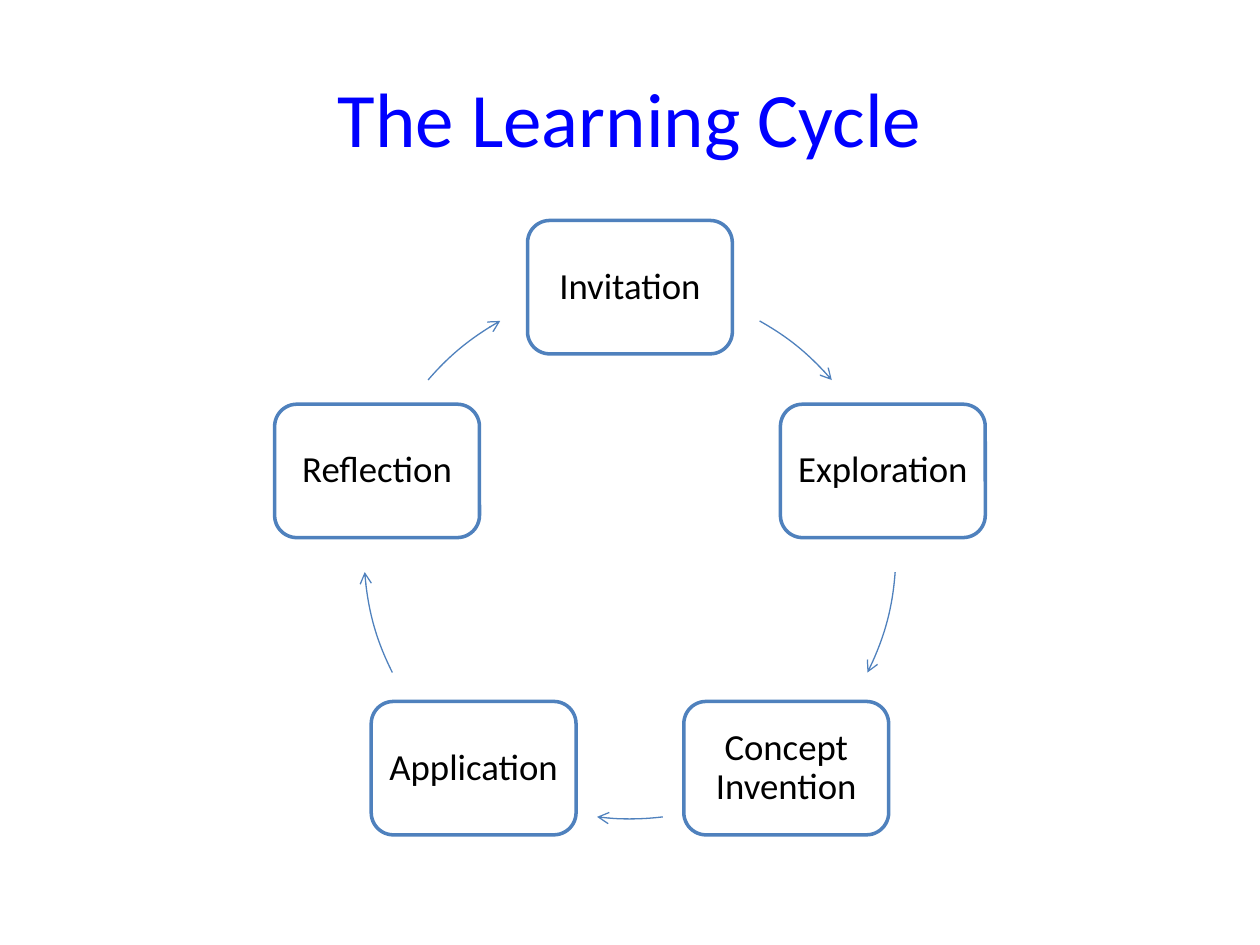
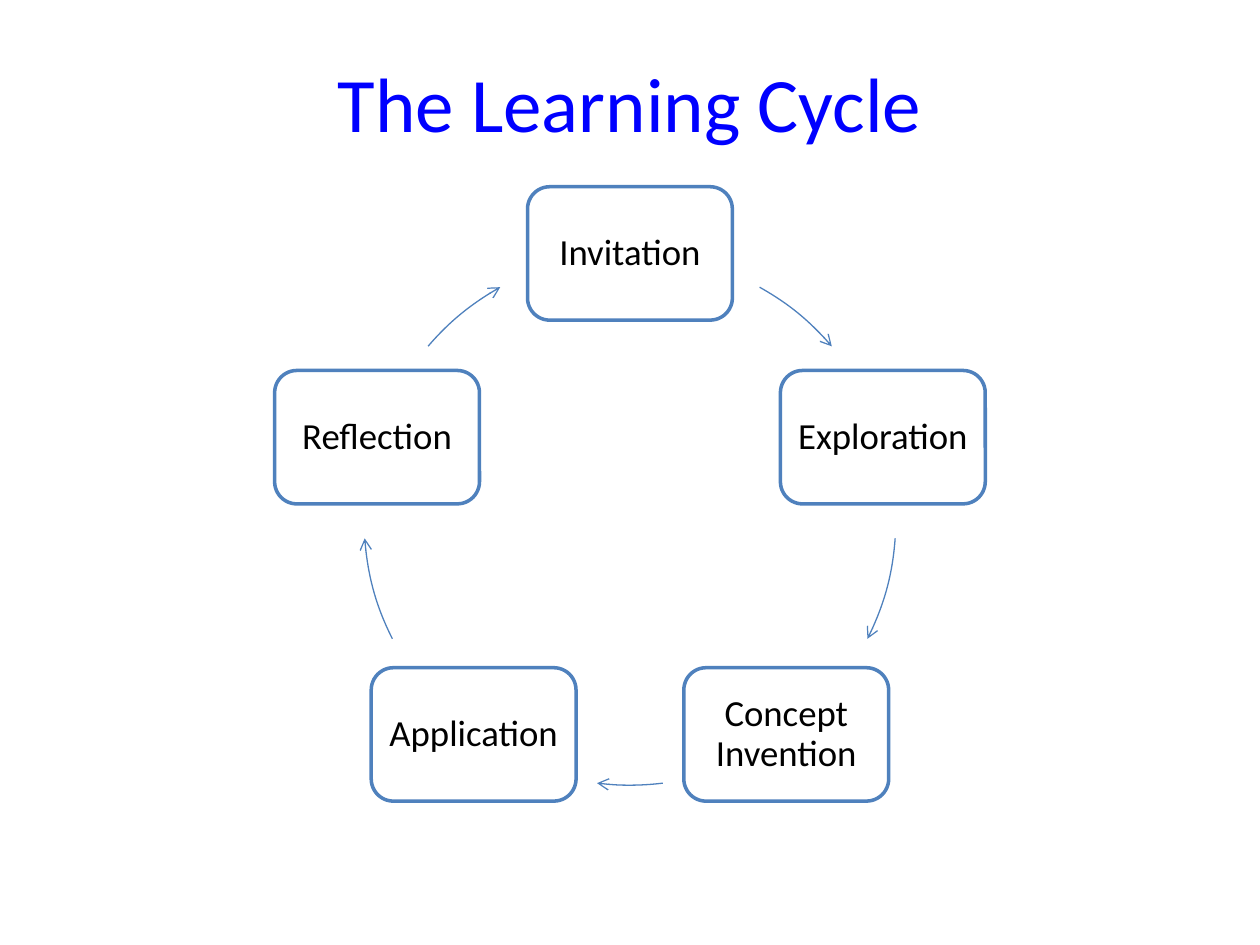
from dataclasses import dataclass
from math import cos, radians, sin

from lxml.etree import SubElement
from pptx import Presentation
from pptx.dml.color import RGBColor
from pptx.enum.shapes import MSO_SHAPE
from pptx.enum.text import MSO_ANCHOR, PP_ALIGN
from pptx.oxml.ns import qn
from pptx.util import Cm, Pt

WHITE = RGBColor(0xFF, 0xFF, 0xFF)
BLACK = RGBColor(0, 0, 0)
TITLE_BLUE = RGBColor(0, 0, 0xFF)
LINE_BLUE = RGBColor(0x4F, 0x81, 0xBD)
FONT = "Calibri"

SLIDE_W, SLIDE_H = 25.4, 19.05
RADIUS = 5.36
BOX_W, BOX_H = 4.13, 2.69
TITLE = "The Learning Cycle"


@dataclass(frozen=True)
class Stage:
    """A stage of the cycle and the arc to the next one, in degrees clockwise from the top."""
    label: str
    arc_start: float
    arc_end: float


@dataclass(frozen=True)
class CycleSlide:
    """The positions that differ between slides, in centimetres."""
    title_top: float
    title_width: float
    title_height: float
    centre_y: float


STAGES = [
    Stage("Invitation", 29.2, 49.4),
    Stage("Exploration", 94.1, 116.7),
    Stage("Concept Invention", 172.9, 187.1),
    Stage("Application", 243.3, 265.9),
    Stage("Reflection", 310.6, 330.8),
]

SLIDES = [
    CycleSlide(title_top=0.76, title_width=22.86, title_height=3.18, centre_y=11.15),
    CycleSlide(title_top=0.97, title_width=22.35, title_height=2.18, centre_y=10.47),
]


def write_text(sp, text: str, *, size: float, color: RGBColor,
               line_spacing: float = 1.0, inset: float = 0.25) -> None:
    """Write one centred paragraph into a shape."""
    tf = sp.text_frame
    tf.word_wrap = True
    tf.vertical_anchor = MSO_ANCHOR.MIDDLE
    tf.margin_left = tf.margin_right = tf.margin_top = tf.margin_bottom = Cm(inset)
    p = tf.paragraphs[0]
    p.alignment = PP_ALIGN.CENTER
    p.line_spacing = line_spacing
    r = p.add_run()
    r.text = text
    r.font.name = FONT
    r.font.size = Pt(size)
    r.font.color.rgb = color


def add_outlined(s, kind: MSO_SHAPE, cx: float, cy: float, w: float, h: float, weight: float):
    """Add a blue-outlined preset shape around a centre point."""
    sp = s.shapes.add_shape(kind, Cm(cx - w / 2), Cm(cy - h / 2), Cm(w), Cm(h))
    sp.shadow.inherit = False
    sp.line.color.rgb = LINE_BLUE
    sp.line.width = Pt(weight)
    return sp


def add_stage_box(s, stage: Stage, cx: float, cy: float) -> None:
    """Add the rounded box that names a stage."""
    sp = add_outlined(s, MSO_SHAPE.ROUNDED_RECTANGLE, cx, cy, BOX_W, BOX_H, 2)
    sp.fill.solid()
    sp.fill.fore_color.rgb = WHITE
    write_text(sp, stage.label, size=21, color=BLACK, line_spacing=0.9, inset=0.22)


def add_arc_arrow(s, stage: Stage, cx: float, cy: float) -> None:
    """Add the curved arrow that leads to the next stage."""
    sp = add_outlined(s, MSO_SHAPE.ARC, cx, cy, 2 * RADIUS, 2 * RADIUS, 0.75)
    sp.fill.background()
    for i, angle in enumerate((stage.arc_start, stage.arc_end)):
        sp.adjustments[i] = (angle - 90) % 360 * 0.6
    ln = sp._element.spPr.find(qn("a:ln"))
    SubElement(ln, qn("a:tailEnd"), type="arrow")


def add_cycle_slide(prs, spec: CycleSlide) -> None:
    """Add a slide with the title and the ring of stages."""
    s = prs.slides.add_slide(prs.slide_layouts[6])
    title = s.shapes.add_textbox(Cm((SLIDE_W - spec.title_width) / 2), Cm(spec.title_top),
                                 Cm(spec.title_width), Cm(spec.title_height))
    write_text(title, TITLE, size=44, color=TITLE_BLUE)
    cx, cy = SLIDE_W / 2, spec.centre_y
    for i, stage in enumerate(STAGES):
        angle = radians(i * 360 / len(STAGES))
        add_stage_box(s, stage, cx + RADIUS * sin(angle), cy - RADIUS * cos(angle))
        add_arc_arrow(s, stage, cx, cy)


def main() -> None:
    """Build and save the presentation."""
    prs = Presentation()
    prs.slide_width, prs.slide_height = Cm(SLIDE_W), Cm(SLIDE_H)
    for spec in SLIDES:
        add_cycle_slide(prs, spec)
    prs.save("out.pptx")


if __name__ == "__main__":
    main()
